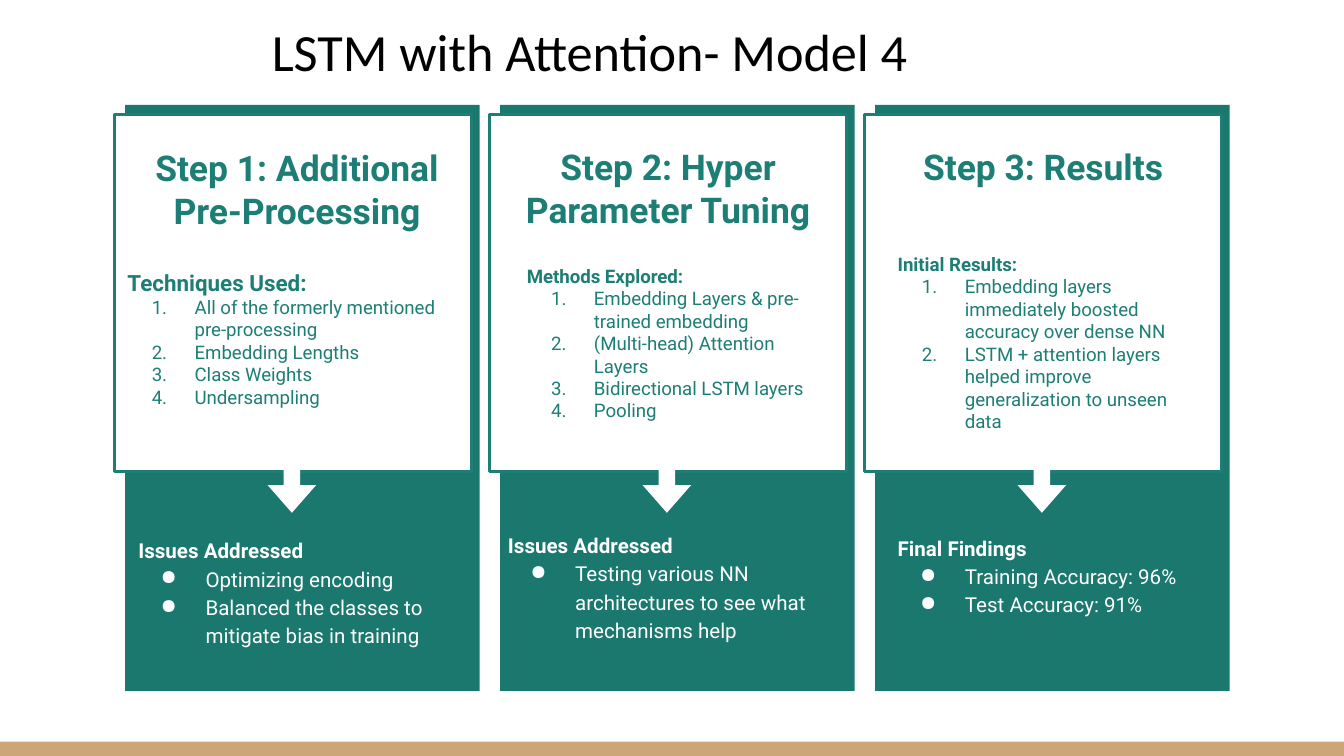
from lxml.etree import SubElement
from pptx import Presentation
from pptx.dml.color import RGBColor
from pptx.enum.shapes import MSO_SHAPE
from pptx.enum.text import MSO_ANCHOR, PP_ALIGN
from pptx.oxml.ns import qn
from pptx.util import Pt

# Content: each box is (left from the card edge, top, width, height)
TITLE = "LSTM with Attention- Model 4"
STEPS = [
    {
        "heading": "Step 1: Additional Pre-Processing",
        "heading_box": (-2.9, 71.3, 190, 70.6),
        "method_label": "Techniques Used:",
        "method_label_size": 12,
        "methods": ["All of the formerly mentioned\vpre-processing", "Embedding Lengths",
                    "Class Weights", "Undersampling"],
        "method_box": (-5.8, 136.8, 190, 103.7),
        "outcome_label": "Issues Addressed",
        "outcomes": ["Optimizing encoding", "Balanced the classes to mitigate bias in training"],
        "outcome_box": (0, 273.6, 190, 86.4),
        "outcome_anchor": MSO_ANCHOR.MIDDLE,
    },
    {
        "heading": "Step 2: Hyper Parameter Tuning",
        "heading_box": (5, 70.6, 170, 64),
        "method_label": "Methods Explored:",
        "method_label_size": 10,
        "methods": ["Embedding Layers & pre-trained embedding", "(Multi-head) Attention Layers",
                    "Bidirectional LSTM layers", "Pooling"],
        "method_box": (7.2, 134.6, 170, 86.4),
        "outcome_label": "Issues Addressed",
        "outcomes": ["Testing various NN architectures to see what mechanisms help"],
        "outcome_box": (-2.9, 279.4, 190, 69.1),
        "outcome_anchor": MSO_ANCHOR.MIDDLE,
    },
    {
        "heading": "Step 3: Results",
        "heading_box": (5, 70.6, 170, 64),
        "method_label": "Initial Results:",
        "method_label_size": 10,
        "methods": ["Embedding layers immediately boosted accuracy over dense NN",
                    "LSTM + attention layers helped improve generalization to unseen data"],
        "method_box": (5, 128.2, 170, 116.6),
        "outcome_label": "Final Findings",
        "outcomes": ["Training Accuracy: 96%", "Test Accuracy: 91%"],
        "outcome_box": (5, 277.9, 179.3, 83.5),
        "outcome_anchor": MSO_ANCHOR.TOP,
    },
]

THEME = {
    "title_font": "Calibri", "body_font": "Roboto",
    "black": "000000", "white": "FFFFFF", "card": "1B786F", "teal": "1D7E75", "sand": "CCA677",
    "title": 28, "heading": 19, "method": 10, "outcome": 11,
}

# Layout
SLIDE_WIDTH, SLIDE_HEIGHT = 720, 405
FIRST_CARD_LEFT, CARD_PITCH = 67, 200.9
CARD_BOX = (0, 56.2, 190, 313.9)
PANEL_BOX = (-5.8, 61.2, 191.5, 191.5)
ARROW_BOX = (74.4, 246.8, 29.9, 25.9)


def color(name):
    return RGBColor.from_string(THEME[name])


def place(box, left=0):
    return Pt(left + box[0]), Pt(box[1]), Pt(box[2]), Pt(box[3])


def add_filled(shapes, kind, position, fill, line=None):
    shape = shapes.add_shape(kind, *position)
    shape.shadow.inherit = False
    shape.fill.solid()
    shape.fill.fore_color.rgb = color(fill)
    if line:
        shape.line.color.rgb = color(line)
        shape.line.width = Pt(1.5)
    else:
        shape.line.fill.background()
    return shape


def add_text_frame(shapes, position, anchor=MSO_ANCHOR.TOP):
    frame = shapes.add_textbox(*position).text_frame
    frame.word_wrap = True
    frame.vertical_anchor = anchor
    frame.margin_left = frame.margin_right = Pt(7.2)
    frame.margin_top = frame.margin_bottom = Pt(7.2)
    return frame


def write(paragraph, text, size, ink, bold=False, font="body_font", align=PP_ALIGN.LEFT):
    paragraph.text = text
    paragraph.alignment = align
    for run in paragraph.runs:
        run.font.name = THEME[font]
        run.font.size = Pt(size)
        run.font.bold = bold
        run.font.color.rgb = color(ink)


def add_bullet(paragraph, ink, indent, tag, **attributes):
    properties = paragraph._p.get_or_add_pPr()
    properties.set("marL", str(Pt(36)))
    properties.set("indent", str(-Pt(indent)))
    bullet_color = SubElement(properties, qn("a:buClr"))
    SubElement(bullet_color, qn("a:srgbClr"), val=THEME[ink])
    SubElement(properties, qn(tag), **attributes)


def add_list(frame, label, label_size, items, size, ink, spacing, indent, tag, **attributes):
    write(frame.paragraphs[0], label, label_size, ink, bold=True)
    for item in items:
        paragraph = frame.add_paragraph()
        write(paragraph, item, size, ink)
        add_bullet(paragraph, ink, indent, tag, **attributes)
    for paragraph in frame.paragraphs:
        paragraph.line_spacing = spacing


def add_step(slide, step, left):
    shapes = slide.shapes.add_group_shape().shapes
    add_filled(shapes, MSO_SHAPE.RECTANGLE, place(CARD_BOX, left), "card")
    add_filled(shapes, MSO_SHAPE.RECTANGLE, place(PANEL_BOX, left), "white", line="teal")

    # Heading and numbered methods on the white panel
    heading = add_text_frame(shapes, place(step["heading_box"], left))
    write(heading.paragraphs[0], step["heading"], THEME["heading"], "teal",
          bold=True, align=PP_ALIGN.CENTER)
    methods = add_text_frame(shapes, place(step["method_box"], left))
    add_list(methods, step["method_label"], step["method_label_size"], step["methods"],
             THEME["method"], "teal", 1.0, 23, "a:buAutoNum", type="arabicPeriod")

    # Arrow pointing down to the outcomes
    arrow = add_filled(shapes, MSO_SHAPE.RIGHT_ARROW, place(ARROW_BOX, left), "white")
    arrow.rotation = 90
    arrow.adjustments[0], arrow.adjustments[1] = 0.34, 0.57
    outcomes = add_text_frame(shapes, place(step["outcome_box"], left), step["outcome_anchor"])
    add_list(outcomes, step["outcome_label"], THEME["outcome"], step["outcomes"],
             THEME["outcome"], "white", 1.15, 24, "a:buChar", char="●")


def main():
    presentation = Presentation()
    presentation.slide_width, presentation.slide_height = Pt(SLIDE_WIDTH), Pt(SLIDE_HEIGHT)
    slide = presentation.slides.add_slide(presentation.slide_layouts[6])

    # Footer band and title
    add_filled(slide.shapes, MSO_SHAPE.RECTANGLE, place((0, 397.4, SLIDE_WIDTH, 7.6)), "sand")
    title = add_text_frame(slide.shapes, place((13, 8.6, 605.5, 42.5)), MSO_ANCHOR.BOTTOM)
    write(title.paragraphs[0], TITLE, THEME["title"], "black",
          font="title_font", align=PP_ALIGN.CENTER)

    # Step cards
    for index, step in enumerate(STEPS):
        add_step(slide, step, FIRST_CARD_LEFT + index * CARD_PITCH)
    presentation.save("out.pptx")


if __name__ == "__main__":
    main()
